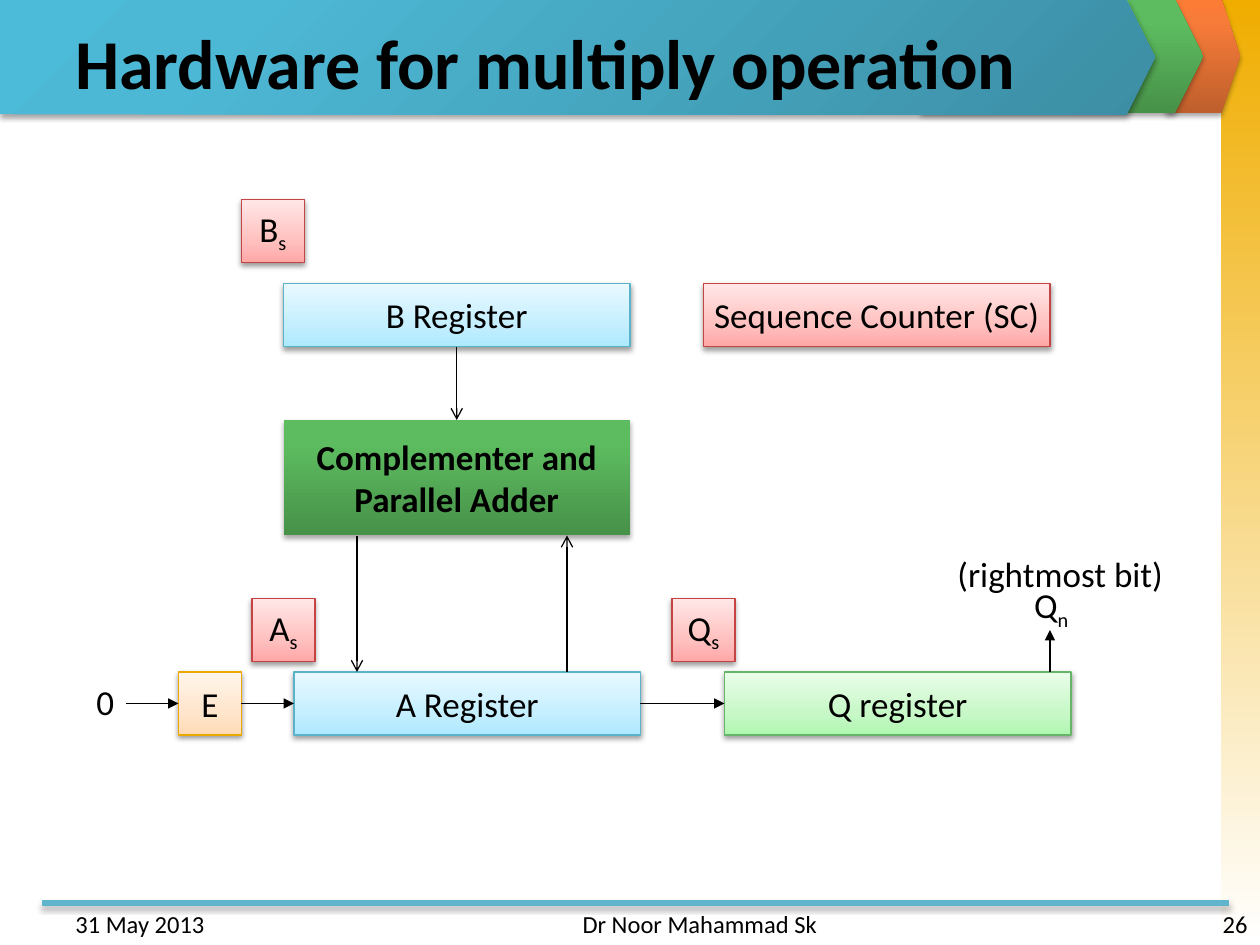
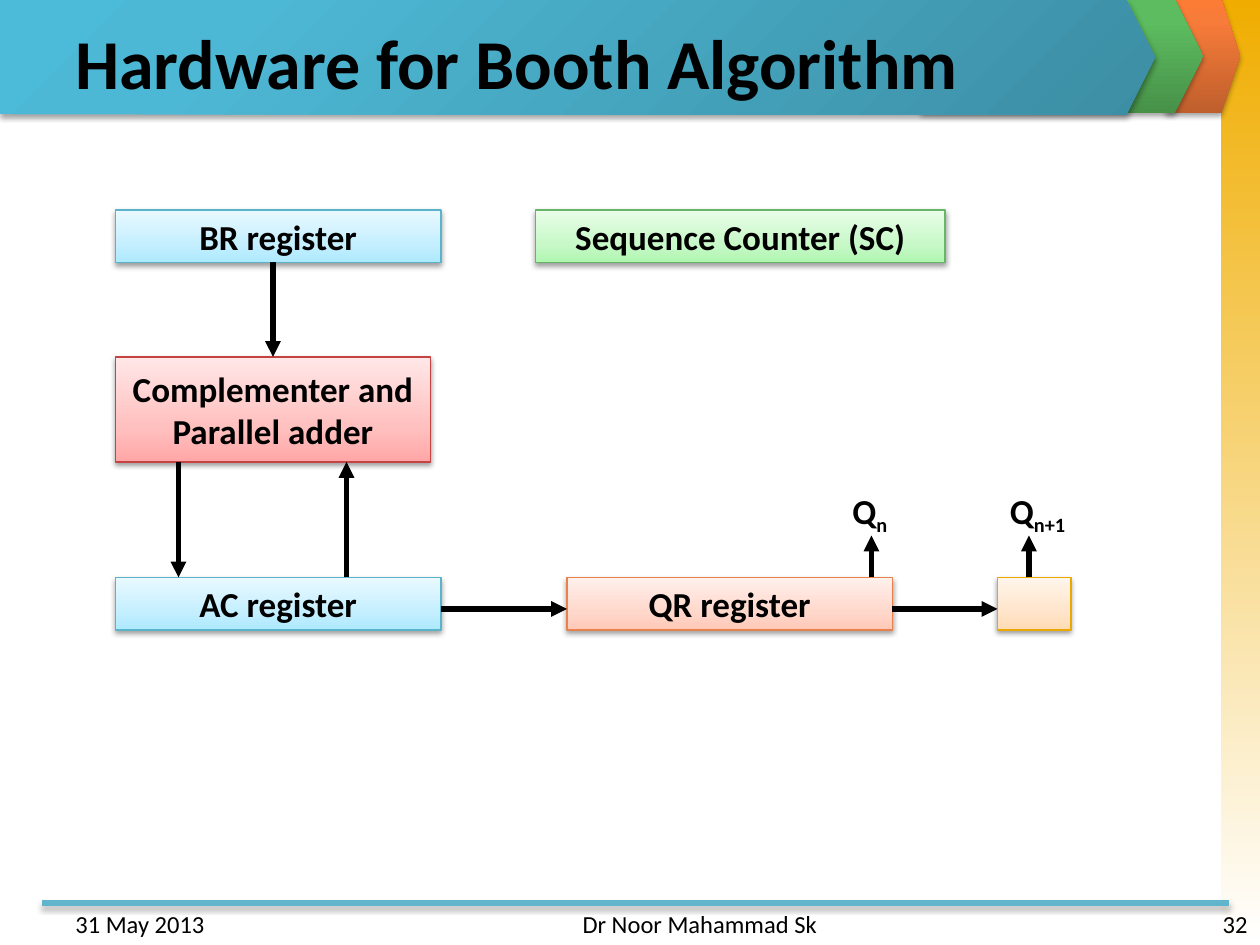
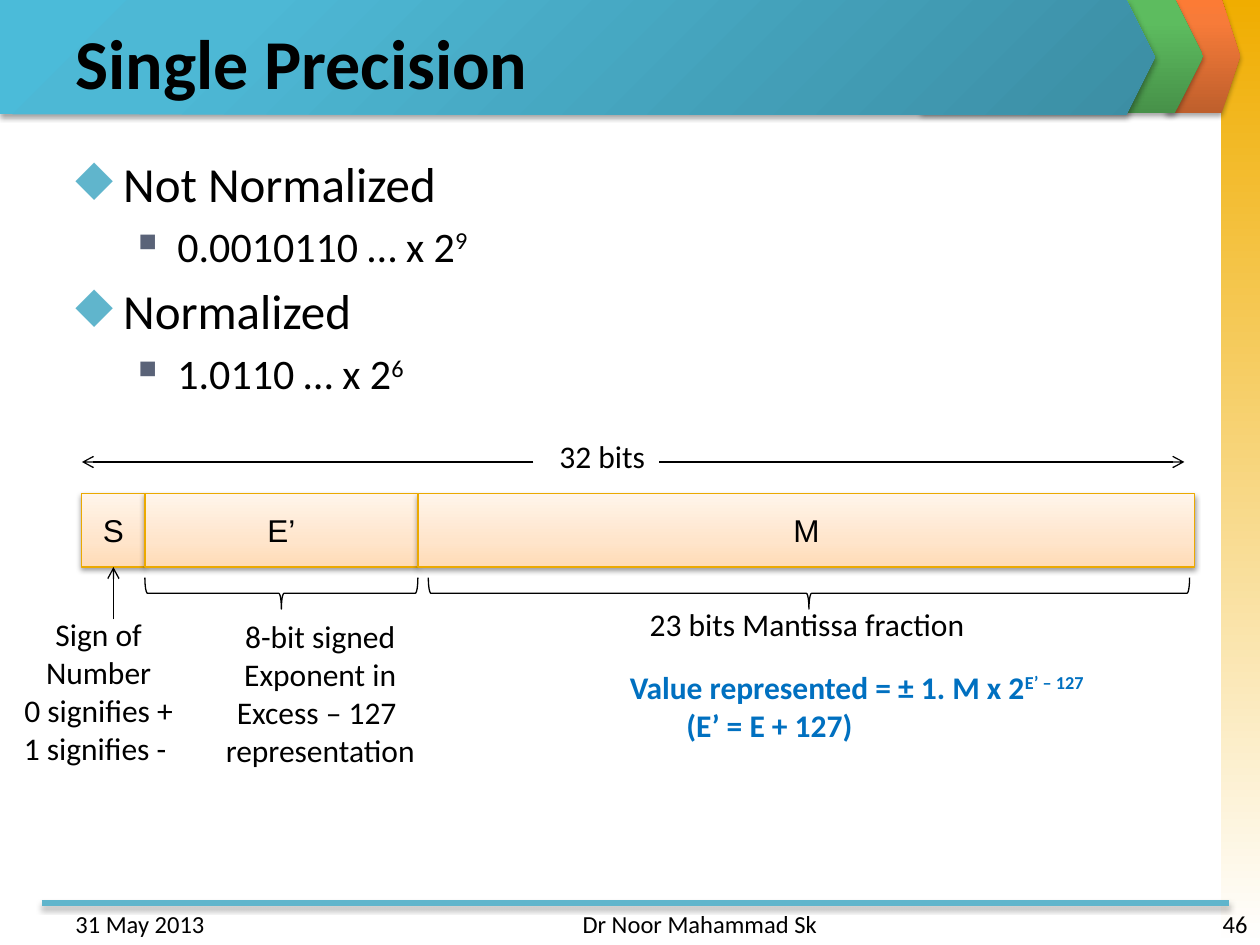
import pptx
import pptx.util
import pptx.dml.color
import pptx.enum.shapes
import pptx.enum.text
import pptx.oxml.ns
from lxml import etree

COLS, ROWS = 120, 90
CELL = pptx.util.Inches(10) / COLS
SHAPE = pptx.enum.shapes.MSO_SHAPE
ALIGN = pptx.enum.text.PP_ALIGN
ANCHOR = pptx.enum.text.MSO_ANCHOR
qn = pptx.oxml.ns.qn

INK = "000000"
ACCENT = "60B5CC"
FORMULA = "0070C0"
GREEN = ((0, "479149"), (80, "5DBC5F"), (100, "5BBF5E"))
ORANGE = ((0, "BE5F2C"), (80, "F77B39"), (100, "FC7B35"))
TEAL = ((0, "3C8EA4"), (80, "4DB8D5"), (100, "4BBBD9"))
GOLD = ((0, "F0AD00"), (100, "FFFFFF"))
STRONG_SHADOW = (35, 3.1, 1.8)
SOFT_SHADOW = (38, 3.1, 1.6)


def pale(low, middle, high, edge):
    return ((0, low), (35, middle), (100, high)), edge, SOFT_SHADOW


BLUE_BOX = pale("ADE9FF", "C5EFFF", "E9F9FF", "5BB3CA")
RED_BOX = pale("FFA7A7", "FFC1C0", "FFE7E7", "C54342")
GREEN_BOX = pale("B0F6B1", "C8F8C8", "E9FDE9", "67B569")
YELLOW_BOX = pale("FFDBB5", "FFE5CB", "FFF5EB", "EBA900")
ORANGE_BOX = pale("FFC8B7", "FFD8CC", "FFF0EC", "E7824C")
SOLID_GREEN_BOX = GREEN, None, STRONG_SHADOW


def rgb(value):
    return pptx.dml.color.RGBColor.from_string(value)


def grid(*cells):
    return [pptx.util.Emu(round(c * CELL)) for c in cells]


def child(parent, tag, **attrs):
    node = etree.SubElement(parent, qn(tag))
    for key, value in attrs.items():
        node.set(key, str(value))
    return node


def set_gradient(sp, stops, angle=270, corner=False):
    sp.fill.gradient()
    grad = sp._element.spPr.find(qn("a:gradFill"))
    for node in list(grad):
        grad.remove(node)
    gs_list = child(grad, "a:gsLst")
    for position, color in stops:
        gs = child(gs_list, "a:gs", pos=position * 1000)
        child(gs, "a:srgbClr", val=color)
    if corner:
        circle = child(grad, "a:path", path="circle")
        child(circle, "a:fillToRect", l=100000, t=100000)
    else:
        child(grad, "a:lin", ang=angle * 60000, scaled=0)


def set_shadow(sp, shadow=None):
    effects = child(sp._element.spPr, "a:effectLst")
    if shadow:
        opacity, blur, distance = shadow
        outer = child(effects, "a:outerShdw", blurRad=pptx.util.Pt(blur),
                      dist=pptx.util.Pt(distance), dir=5400000, rotWithShape=0)
        color = child(outer, "a:srgbClr", val=INK)
        child(color, "a:alpha", val=opacity * 1000)


def set_line(sp, color, width=0.75):
    if color:
        sp.line.color.rgb = rgb(color)
        sp.line.width = pptx.util.Pt(width)
    else:
        sp.line.fill.background()


def plain(*lines):
    return [[(line, 0)] for line in lines]


def scripted(base, script, shift=-25):
    return [[(base, 0), (script, shift)]]


def add_runs(p, runs, size, bold=False, color=INK, font="Calibri"):
    for text, shift in runs:
        r = p.add_run()
        r.text = text
        r.font.name = font
        r.font.size = pptx.util.Pt(size)
        r.font.bold = bold
        r.font.color.rgb = rgb(color)
        if shift:
            r._r.get_or_add_rPr().set("baseline", str(shift * 1000))


def paragraph(tf, first):
    return tf.paragraphs[0] if first else tf.add_paragraph()


def write(tf, paragraphs, size, align=ALIGN.LEFT, wrap=False, **style):
    tf.word_wrap = wrap
    for i, runs in enumerate(paragraphs):
        p = paragraph(tf, i == 0)
        p.alignment = align
        add_runs(p, runs, size, **style)


def add_text(s, at, paragraphs, size, anchor=ANCHOR.TOP, **style):
    tf = s.shapes.add_textbox(*grid(*at)).text_frame
    tf.vertical_anchor = anchor
    write(tf, paragraphs, size, **style)
    return tf


def add_filled(s, kind, at, stops, edge=None, shadow=None, **gradient):
    sp = s.shapes.add_shape(kind, *grid(*at))
    set_gradient(sp, stops, **gradient)
    set_line(sp, edge)
    set_shadow(sp, shadow)
    return sp


def add_box(s, at, look, paragraphs=(), size=20, **style):
    sp = add_filled(s, SHAPE.RECTANGLE, at, *look)
    sp.text_frame.vertical_anchor = ANCHOR.MIDDLE
    write(sp.text_frame, paragraphs, size, align=ALIGN.CENTER, **style)


def add_line(s, ends, color=INK, width=0.75, head=None, shadow=None):
    c = s.shapes.add_connector(pptx.enum.shapes.MSO_CONNECTOR.STRAIGHT, *grid(*ends))
    set_line(c, color, width)
    if head:
        child(c._element.spPr.find(qn("a:ln")), "a:tailEnd", type=head)
    set_shadow(c, shadow)


def add_brace(s, left, top, width, height):
    x = left + (width - height) / 2
    y = top + (height - width) / 2
    sp = s.shapes.add_shape(SHAPE.LEFT_BRACE, *grid(x, y, height, width))
    sp.rotation = 270
    sp.fill.background()
    set_line(sp, INK)
    set_shadow(sp)


def add_band(s, at, stops, **gradient):
    sp = add_filled(s, SHAPE.PENTAGON, at, stops, None, STRONG_SHADOW, **gradient)
    sp.adjustments[0] = 0.25


def add_bullets(s, at, items):
    levels = (("◆", ACCENT, 100, 0.38, 0.38, 28), ("■", "5A6378", 60, 0.81, 0.31, 24))
    tf = s.shapes.add_textbox(*grid(*at)).text_frame
    tf.word_wrap = True
    for i, (level, runs) in enumerate(items):
        mark, color, percent, margin, hang, size = levels[level]
        p = paragraph(tf, i == 0)
        pPr = p._p.get_or_add_pPr()
        pPr.set("marL", str(pptx.util.Inches(margin)))
        pPr.set("indent", str(-pptx.util.Inches(hang)))
        child(child(pPr, "a:buClr"), "a:srgbClr", val=color)
        child(pPr, "a:buSzPct", val=percent * 1000)
        child(pPr, "a:buChar", char=mark)
        if i:
            p.space_before = pptx.util.Pt(0.2 * size)
        add_runs(p, runs, size)


def new_slide(prs, title, number):
    s = prs.slides.add_slide(prs.slide_layouts[6])
    add_filled(s, SHAPE.RECTANGLE, (116.3, 0, 3.7, ROWS), GOLD, angle=90)
    add_band(s, (111, -0.1, 7.1, 10.9), ORANGE)
    add_band(s, (87.7, -0.1, 26.9, 10.9), GREEN)
    add_line(s, (4, 86, 117, 86), ACCENT, 3, shadow=STRONG_SHADOW)
    add_band(s, (0, 0, 110, 10.9), TEAL, corner=True)
    add_text(s, (6, 1.7, 108, 8.3), plain(title), 40, ANCHOR.MIDDLE, wrap=True, bold=True)
    footers = ((6, 28, "31 May 2013", ALIGN.LEFT),
               (41, 38, "Dr Noor Mahammad Sk", ALIGN.RIGHT),
               (92, 28, str(number), ALIGN.RIGHT))
    for left, width, text, align in footers:
        add_text(s, (left, 86, width, 3), plain(text), 14, align=align, wrap=True)
    return s


def multiply_slide(prs):
    s = new_slide(prs, "Hardware for multiply operation", 26)
    registers = ((27, 27, BLUE_BOX, "B Register"), (28, 64, BLUE_BOX, "A Register"),
                 (67, 27, RED_BOX, "Sequence Counter (SC)"), (69, 64, GREEN_BOX, "Q register"))
    for left, top, look, name in registers:
        add_box(s, (left, top, 33, 6), look, plain(name))
    add_box(s, (27, 40, 33, 11), SOLID_GREEN_BOX,
            plain("Complementer and", "Parallel Adder"), bold=True)
    for left, top, name in ((23, 19, "B"), (24, 57, "A"), (64, 57, "Q")):
        add_box(s, (left, top, 6, 6), RED_BOX, scripted(name, "s"))
    add_box(s, (17, 64, 6, 6), YELLOW_BOX, plain("E"))
    for ends in ((23, 67, 28, 67), (12, 67, 17, 67), (61, 67, 69, 67), (100, 64, 100, 60)):
        add_line(s, ends, head="triangle")
    for ends in ((43.5, 33, 43.5, 40), (34, 51, 34, 64), (54, 64, 54, 51)):
        add_line(s, ends, head="arrow")
    add_text(s, (8, 64.2, 4, 5.3), plain("0"), 20)
    add_text(s, (97.3, 55, 5.9, 5.3), scripted("Q", "n"), 20)
    add_text(s, (90, 52, 22.2, 5.3), plain("(rightmost bit)"), 20)


def booth_slide(prs):
    s = new_slide(prs, "Hardware for Booth Algorithm", 32)
    registers = ((11, 20, 31, BLUE_BOX, "BR register"),
                 (51, 20, 39, GREEN_BOX, "Sequence Counter (SC)"),
                 (11, 55, 31, BLUE_BOX, "AC register"),
                 (54, 55, 31, ORANGE_BOX, "QR register"))
    for left, top, width, look, name in registers:
        add_box(s, (left, top, width, 5), look, plain(name), bold=True)
    add_box(s, (11, 34, 30, 10), RED_BOX, plain("Complementer and", "Parallel adder"), bold=True)
    add_box(s, (95, 55, 7, 5), YELLOW_BOX)
    arrows = ((26, 25, 26, 34), (17, 44, 17, 55), (33, 55, 33, 44), (42, 58, 54, 58),
              (85, 58, 95, 58), (83, 55, 83, 51), (98, 55, 98, 51))
    for ends in arrows:
        add_line(s, ends, width=3, head="triangle")
    for left, width, index in ((80, 6.1, "n"), (95, 11, "n+1")):
        add_text(s, (left, 46, width, 5.3), scripted("Q", index), 20, bold=True)


def precision_slide(prs):
    s = new_slide(prs, "Single Precision", 46)
    add_bullets(s, (6, 14, 108, 25), (
        (0, [("Not Normalized", 0)]),
        (1, [("0.0010110 … x 2", 0), ("9", 30)]),
        (0, [("Normalized", 0)]),
        (1, [("1.0110 … x 2", 0), ("6", 30)])))
    left = 7.8
    for width, name in ((6, "S"), (26, "E’"), (74, "M")):
        add_box(s, (left, 47, width, 7), YELLOW_BOX, plain(name), 18, font="Arial")
        left += width
    for ends in ((50.8, 44, 7.8, 44), (62.8, 44, 112.8, 44), (10.8, 59, 10.8, 54)):
        add_line(s, ends, head="arrow")
    add_brace(s, 40.8, 55, 72.5, 3)
    add_brace(s, 13.8, 55, 26, 3)
    add_text(s, (52.1, 41, 10.7, 4.8), plain("32 bits"), 18)
    add_text(s, (60.7, 57, 32.8, 4.8), plain("23 bits Mantissa fraction"), 18)
    add_text(s, (20.2, 58.2, 20.6, 15.7),
             plain("8-bit signed", "Exponent in", "Excess – 127 ", "representation"),
             18, align=ALIGN.CENTER)
    add_text(s, (1, 58, 16.8, 15.7),
             plain("Sign of", "Number", "0 signifies +", "1 signifies - "),
             18, align=ALIGN.CENTER)
    formula = scripted("Value represented = ± 1. M x 2", "E’ – 127", 30)
    tf = add_text(s, (46.8, 63, 60, 8.5), formula + plain("(E’ = E + 127)"),
                  18, wrap=True, bold=True, color=FORMULA)
    for p, margin in zip(tf.paragraphs, (1, 1.45)):
        p._p.get_or_add_pPr().set("marL", str(pptx.util.Inches(margin)))


def main():
    prs = pptx.Presentation()
    prs.slide_width, prs.slide_height = grid(COLS, ROWS)
    multiply_slide(prs)
    booth_slide(prs)
    precision_slide(prs)
    prs.save("out.pptx")


if __name__ == "__main__":
    main()
